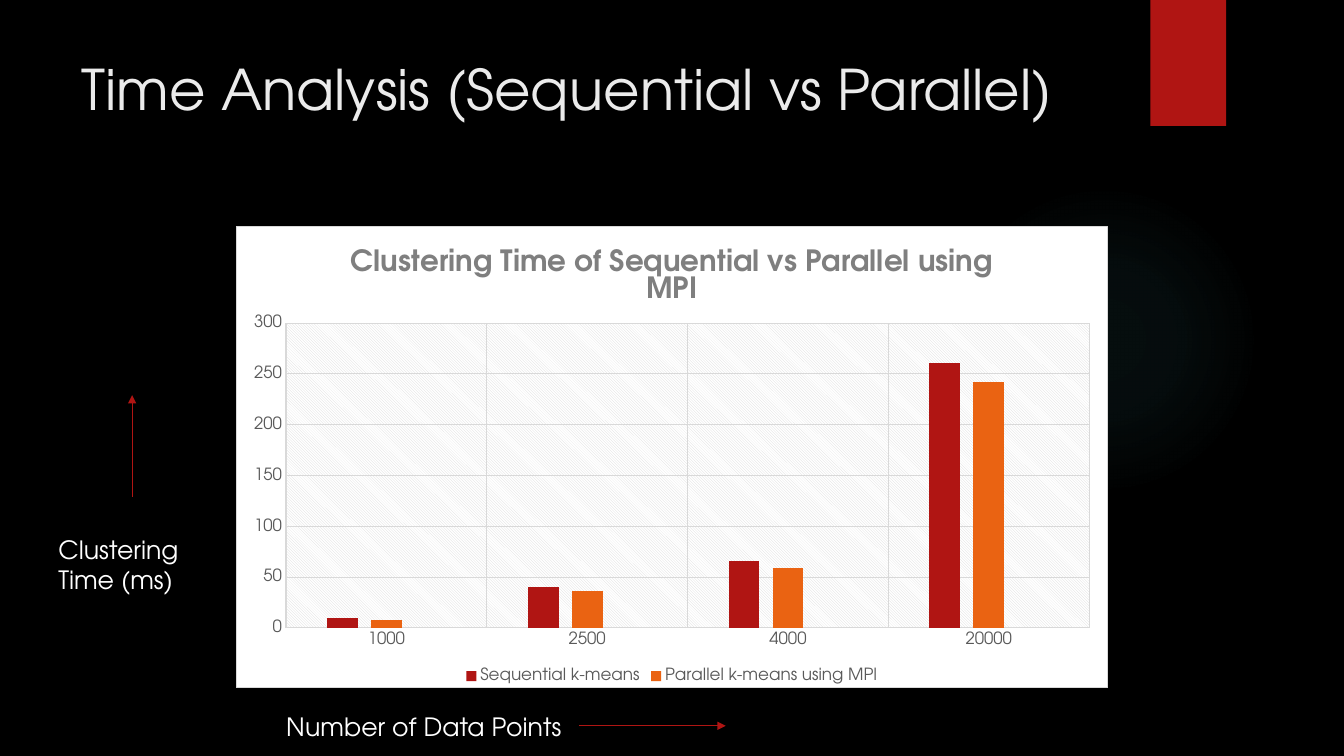
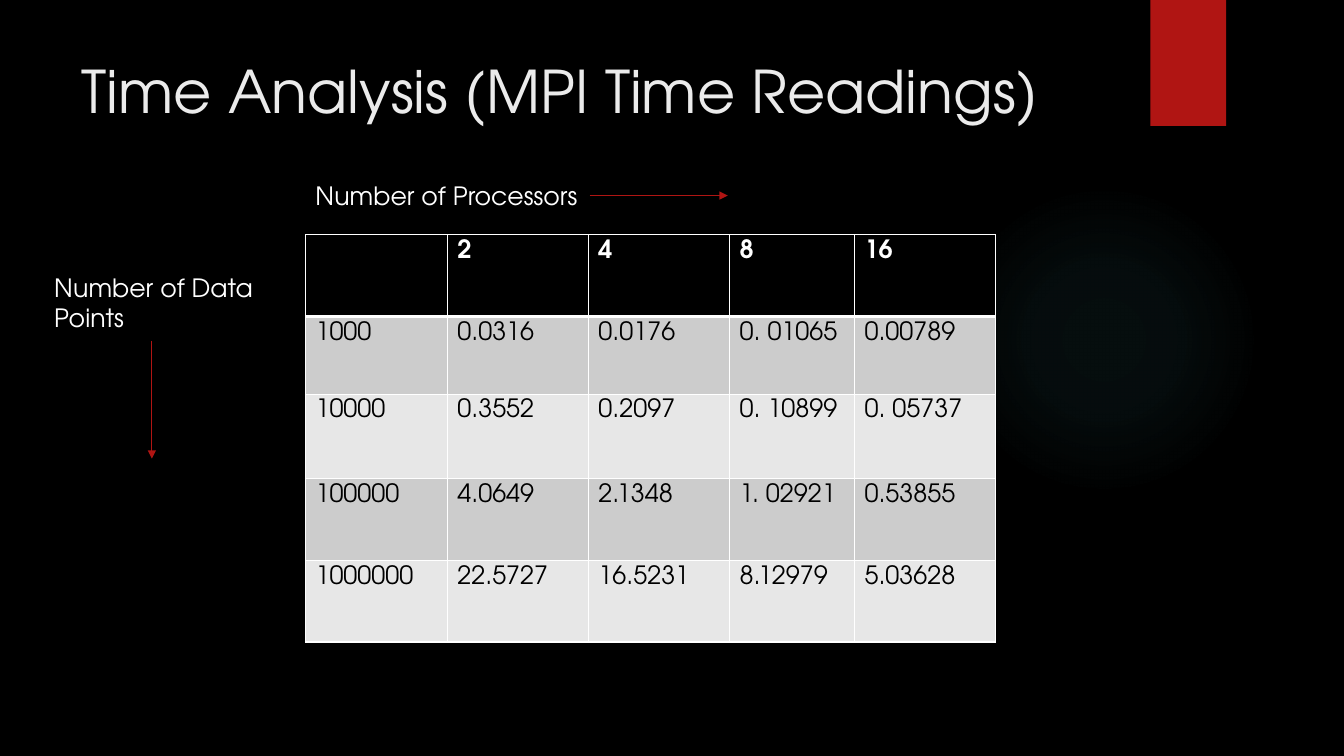
from dataclasses import dataclass
from typing import NamedTuple

from lxml.etree import SubElement
from pptx import Presentation
from pptx.chart.data import CategoryChartData
from pptx.dml.color import RGBColor
from pptx.enum.chart import XL_CHART_TYPE, XL_LEGEND_POSITION, XL_TICK_MARK
from pptx.enum.shapes import MSO_CONNECTOR, MSO_SHAPE
from pptx.enum.text import MSO_ANCHOR, MSO_AUTO_SIZE, PP_ALIGN
from pptx.oxml import parse_xml
from pptx.oxml.ns import nsdecls, qn
from pptx.slide import Slide, SlideLayout
from pptx.util import Emu, Inches, Pt

SLIDE_WIDTH, SLIDE_HEIGHT = Inches(13.33), Inches(7.5)


@dataclass(frozen=True)
class Theme:
    font: str = "TeX Gyre Adventor"
    background: str = "000000"
    title: str = "EBEBEB"
    light: str = "FFFFFF"
    dark: str = "000000"
    accent: str = "B01513"
    glow: str = "50B9C1"
    grid: str = "D9D9D9"
    chart_title: str = "7F7F7F"
    chart_text: str = "595959"
    series: tuple[str, ...] = ("B01513", "EA6312", "E6B729")
    bands: tuple[str, ...] = ("CCCCCC", "E7E7E7")
    body_size: float = 18
    chart_title_size: float = 21
    chart_size: float = 12
    hairline: float = 0.75
    rule: float = 1
    header_rule: float = 3


THEME = Theme()


def across(percent: float) -> Emu:
    return Emu(round(SLIDE_WIDTH * percent / 100))


def down(percent: float) -> Emu:
    return Emu(round(SLIDE_HEIGHT * percent / 100))


class Box(NamedTuple):
    left: float
    top: float
    width: float
    height: float

    def place(self) -> tuple[Emu, Emu, Emu, Emu]:
        return across(self.left), down(self.top), across(self.width), down(self.height)


class Arrow(NamedTuple):
    start: tuple[float, float]
    end: tuple[float, float]


class AxisNote(NamedTuple):
    text: str
    box: Box
    arrow: Arrow


class Heading(NamedTuple):
    text: str
    size: float
    height: float


CHART_NOTES = (
    AxisNote("Number of Data Points", Box(20.55, 93.47, 46, 5.33), Arrow((43.1, 96), (54, 96))),
    AxisNote("Clustering Time (ms)", Box(3.6, 70, 12, 9.33), Arrow((9.83, 65.73), (9.83, 52.27))),
)
TABLE_NOTES = (
    AxisNote("Number of Processors", Box(22.73, 23.2, 43.4, 5.33), Arrow((43.88, 25.87), (54.15, 25.87))),
    AxisNote("Number of Data Points", Box(3.3, 35.4, 18.6, 17.47), Arrow((11.3, 45.07), (11.3, 60.67))),
)
DATA_POINTS = ("1000", "2500", "4000", "20000")
CLUSTERING_TIMES = {
    "Sequential k-means": (10, 40, 66, 261),
    "Parallel k-means using MPI": (8, 36, 59, 242),
    "Series 3": (None,) * 4,
}
PLOT_AREA = Box(5.7, 21, 92.2, 66)
READINGS = (
    ("", "2", "4", "8", "16"),
    ("1000", "0.0316", "0.0176", "0. 01065", "0.00789"),
    ("10000", "0.3552", "0.2097", "0. 10899", "0. 05737"),
    ("100000", "4.0649", "2.1348", "1. 02921", "0.53855"),
    ("1000000", "22.5727", "16.5231", "8.12979", "5.03628"),
)
READING_COLUMNS = (10.55, 10.5, 10.5, 9.3, 10.5)
READING_ROWS = (10.8, 10.27, 11.2, 10.8, 10.8)


def assign(target, **values) -> None:
    for attribute, value in values.items():
        setattr(target, attribute, value)


def paint(fill, color: str) -> None:
    fill.solid()
    fill.fore_color.rgb = RGBColor.from_string(color)


def style_font(font, size: float, color: str, bold: bool = False) -> None:
    assign(font, name=THEME.font, size=Pt(size), bold=bold)
    font.color.rgb = RGBColor.from_string(color)


def style_line(line, color: str) -> None:
    paint(line.fill, color)
    line.width = Pt(THEME.hairline)


def write(frame, text: str, size: float, color: str, bold: bool = False) -> None:
    frame.text = text
    for run in frame.paragraphs[0].runs:
        style_font(run.font, size, color, bold)


def decorate_layout(layout: SlideLayout, drafting_slide: Slide) -> None:
    decorations = (
        (MSO_SHAPE.OVAL, Box(70.6, 24.4, 23.1, 41.07)),
        (MSO_SHAPE.RECTANGLE, Box(85.6, 0, 5.63, 16.67)),
    )
    for index, (outline, box) in enumerate(decorations):
        decoration = drafting_slide.shapes.add_shape(outline, *box.place())
        decoration.shadow.inherit = False
        decoration.line.fill.background()
        paint(decoration.fill, THEME.accent)
        if outline == MSO_SHAPE.OVAL:
            solid = decoration.element.spPr.find(qn("a:solidFill"))
            solid.getparent().replace(solid, glow_fill())
        decoration.element.nvSpPr.cNvPr.set("id", str(100 + index))
        layout.shapes.element.insert(2 + index, decoration.element)


def glow_fill():
    stops = "".join(
        f'<a:gs pos="{position}000"><a:srgbClr val="{THEME.glow}">'
        f'<a:alpha val="{opacity}000"/></a:srgbClr></a:gs>'
        for position, opacity in ((0, 7), (36, 6), (69, 0))
    )
    return parse_xml(
        f'<a:gradFill {nsdecls("a")} rotWithShape="1"><a:gsLst>{stops}</a:gsLst>'
        '<a:path path="circle"><a:fillToRect l="50000" t="50000" r="50000" b="50000"/>'
        "</a:path></a:gradFill>"
    )


def add_heading(slide: Slide, heading: Heading) -> None:
    title = slide.shapes.title
    left, top, width, height = Box(5.33, 6.6, 77.2, heading.height).place()
    assign(title, left=left, top=top, width=width, height=height)
    write(title.text_frame, heading.text, heading.size, THEME.title)
    assign(title.text_frame, vertical_anchor=MSO_ANCHOR.TOP, word_wrap=True, auto_size=MSO_AUTO_SIZE.NONE)
    title.text_frame.paragraphs[0].alignment = PP_ALIGN.LEFT


def add_note(slide: Slide, note: AxisNote) -> None:
    caption = slide.shapes.add_textbox(*note.box.place()).text_frame
    caption.word_wrap = True
    write(caption, note.text, THEME.body_size, THEME.light)
    (start_x, start_y), (end_x, end_y) = note.arrow
    pointer = slide.shapes.add_connector(
        MSO_CONNECTOR.STRAIGHT, across(start_x), down(start_y), across(end_x), down(end_y)
    )
    style_line(pointer.line, THEME.accent)
    SubElement(pointer.element.spPr.find(qn("a:ln")), qn("a:tailEnd"), type="triangle")
    SubElement(pointer.element.spPr, qn("a:effectLst"))


def add_time_chart(slide: Slide) -> None:
    times = CategoryChartData()
    times.categories = DATA_POINTS
    for name, values in CLUSTERING_TIMES.items():
        times.add_series(name, values)
    box = Box(17.55, 29.87, 64.9, 61.2)
    chart = slide.shapes.add_chart(XL_CHART_TYPE.COLUMN_CLUSTERED, *box.place(), times).chart
    style_font(chart.font, THEME.chart_size, THEME.chart_text)
    assign(chart, has_title=True, has_legend=True)
    write(
        chart.chart_title.text_frame,
        "Clustering Time of Sequential vs Parallel using MPI",
        THEME.chart_title_size,
        THEME.chart_title,
        True,
    )
    chart.chart_title.include_in_layout = False
    assign(chart.legend, position=XL_LEGEND_POSITION.BOTTOM, include_in_layout=False)
    style_font(chart.legend.font, THEME.chart_size, THEME.chart_text)
    columns = chart.plots[0]
    assign(columns, gap_width=267, overlap=-43, vary_by_categories=False)
    for series, color in zip(columns.series, THEME.series):
        paint(series.format.fill, color)
    for axis in (chart.category_axis, chart.value_axis):
        assign(
            axis,
            has_major_gridlines=True,
            major_tick_mark=XL_TICK_MARK.NONE,
            minor_tick_mark=XL_TICK_MARK.NONE,
        )
        style_font(axis.tick_labels.font, THEME.chart_size, THEME.chart_text)
        style_line(axis.major_gridlines.format.line, THEME.grid)
        style_line(axis.format.line, THEME.grid)
    chart.value_axis.format.line.fill.background()
    assign(chart.value_axis, minimum_scale=0, maximum_scale=300, major_unit=50)
    finish_chart_areas(chart)


def finish_chart_areas(chart) -> None:
    names = nsdecls("c", "a")
    chart_part = chart.element.find(qn("c:chart"))
    plot_area = chart_part.find(qn("c:plotArea"))
    for layout in plot_area.findall(qn("c:layout")):
        plot_area.remove(layout)
    shares = "".join(f'<c:{key} val="{share / 100}"/>' for key, share in zip("xywh", PLOT_AREA))
    plot_area.insert(
        0,
        parse_xml(
            f'<c:layout {names}><c:manualLayout><c:layoutTarget val="inner"/>'
            f'<c:xMode val="edge"/><c:yMode val="edge"/>{shares}</c:manualLayout></c:layout>'
        ),
    )
    plot_area.append(
        parse_xml(
            f'<c:spPr {names}><a:pattFill prst="ltDnDiag"><a:fgClr><a:srgbClr val="{THEME.grid}"/></a:fgClr>'
            f'<a:bgClr><a:srgbClr val="{THEME.light}"/></a:bgClr></a:pattFill><a:ln><a:noFill/></a:ln></c:spPr>'
        )
    )
    chart_part.addnext(
        parse_xml(
            f'<c:spPr {names}><a:solidFill><a:srgbClr val="{THEME.light}"/></a:solidFill>'
            f'<a:ln w="{Pt(THEME.hairline)}"><a:solidFill><a:srgbClr val="{THEME.grid}"/>'
            "</a:solidFill></a:ln></c:spPr>"
        )
    )
    chart_part.find(qn("c:legend")).find(qn("c:legendPos")).addnext(
        parse_xml(f'<c:legendEntry {names}><c:idx val="2"/><c:delete val="1"/></c:legendEntry>')
    )


def add_borders(cell, row: int) -> None:
    heavy_sides = {0: "B", 1: "T"}
    for side in "LRTB":
        weight = THEME.header_rule if heavy_sides.get(row) == side else THEME.rule
        cell._tc.get_or_add_tcPr().append(
            parse_xml(
                f'<a:ln{side} {nsdecls("a")} w="{Pt(weight)}"><a:solidFill>'
                f'<a:srgbClr val="{THEME.light}"/></a:solidFill></a:ln{side}>'
            )
        )


def add_readings_table(slide: Slide) -> None:
    box = Box(22.73, 31.07, sum(READING_COLUMNS), sum(READING_ROWS))
    table = slide.shapes.add_table(len(READING_ROWS), len(READING_COLUMNS), *box.place()).table
    for column, width in zip(table.columns, READING_COLUMNS):
        column.width = across(width)
    for row, (values, height) in enumerate(zip(READINGS, READING_ROWS)):
        table.rows[row].height = down(height)
        header = row == 0
        for column, value in enumerate(values):
            cell = table.cell(row, column)
            assign(cell, margin_top=Inches(0.05), margin_bottom=Inches(0.05), vertical_anchor=MSO_ANCHOR.TOP)
            add_borders(cell, row)
            paint(cell.fill, THEME.background if header else THEME.bands[(row - 1) % 2])
            write(cell.text_frame, value, THEME.body_size, THEME.light if header else THEME.dark, header)


def main() -> None:
    deck = Presentation()
    assign(deck, slide_width=SLIDE_WIDTH, slide_height=SLIDE_HEIGHT)
    paint(deck.slide_master.background.fill, THEME.background)
    layout = deck.slide_layouts.get_by_name("Title Only")
    pages = (
        (Heading("Time Analysis (Sequential vs Parallel)", 40, 20.4), add_time_chart, CHART_NOTES),
        (Heading("Time Analysis (MPI Time Readings)", 42, 11.2), add_readings_table, TABLE_NOTES),
    )
    for index, (heading, add_content, notes) in enumerate(pages):
        slide = deck.slides.add_slide(layout)
        if index == 0:
            decorate_layout(layout, slide)
        add_heading(slide, heading)
        add_content(slide)
        for note in notes:
            add_note(slide, note)
    deck.save("out.pptx")


if __name__ == "__main__":
    main()
